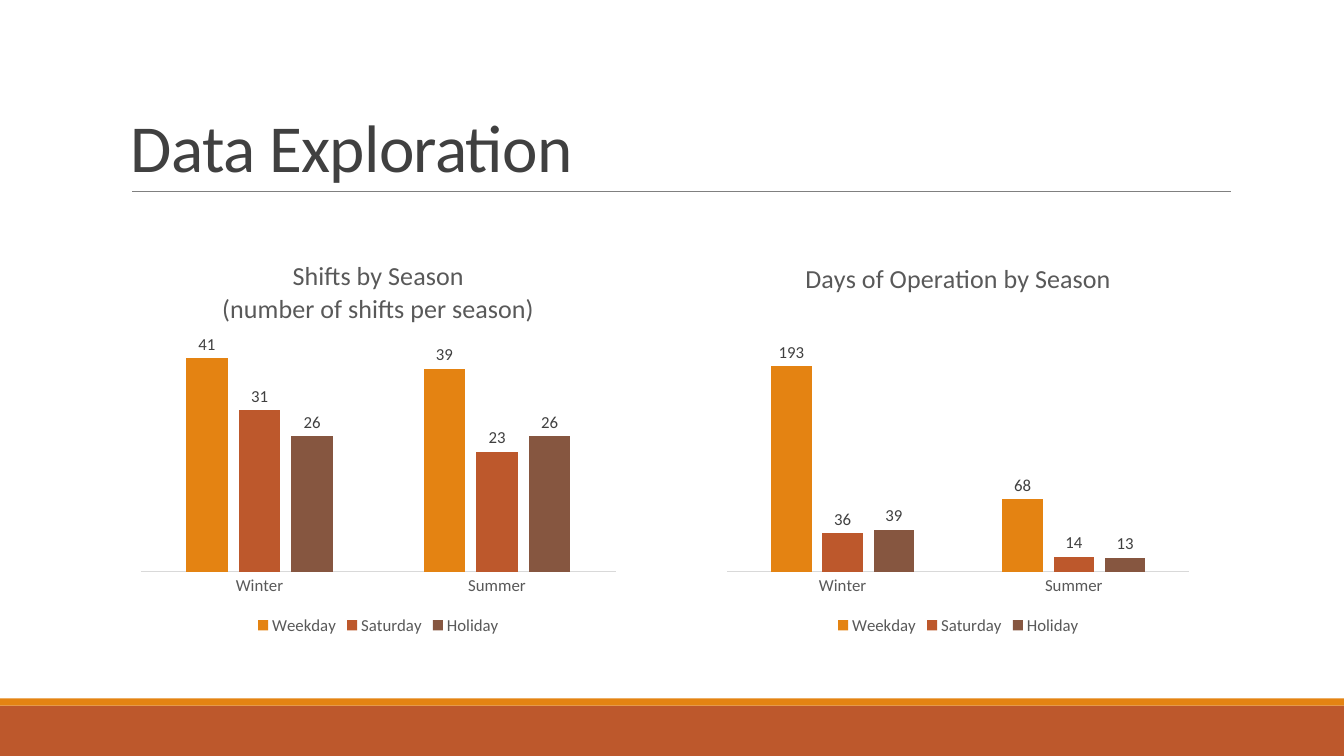
import pptx
import pptx.chart.data
import pptx.dml.color
import pptx.enum.chart
import pptx.enum.shapes
import pptx.enum.text
import pptx.oxml
import pptx.oxml.ns
import pptx.util
from pptx.util import Cm

COLORS = {
    "orange": "E48312", "rust": "BD582C", "brown": "865640",
    "title": "404040", "muted": "595959", "rule": "808080", "axis": "D9D9D9",
}
SERIES_COLORS = {"Weekday": "orange", "Saturday": "rust", "Holiday": "brown"}
SEASONS = ["Winter", "Summer"]
PLOT_BOTTOM = 0.83


def rgb(name):
    return pptx.dml.color.RGBColor.from_string(COLORS[name])


class SlideBuilder:
    font_name = "Calibri"

    def __init__(self, page):
        self.page = page

    def style_font(self, font, size, color):
        font.name = self.font_name
        font.size = pptx.util.Pt(size)
        font.bold = False
        font.color.rgb = rgb(color)

    def band(self, left, top, width, height, color):
        shape = self.page.shapes.add_shape(
            pptx.enum.shapes.MSO_SHAPE.RECTANGLE, Cm(left), Cm(top), Cm(width), Cm(height))
        shape.shadow.inherit = False
        shape.fill.solid()
        shape.fill.fore_color.rgb = rgb(color)
        shape.line.fill.background()

    def rule(self, left, right, top, color):
        line = self.page.shapes.add_connector(
            pptx.enum.shapes.MSO_CONNECTOR.STRAIGHT, Cm(left), Cm(top), Cm(right), Cm(top))
        line.line.color.rgb = rgb(color)
        line.line.width = pptx.util.Pt(0.5)
        properties = line._element.spPr
        properties.append(pptx.oxml.parse_xml(
            f"<a:effectLst {pptx.oxml.ns.nsdecls('a')}/>"))

    def title(self, text, left, top, width, height):
        box = self.page.shapes.add_textbox(Cm(left), Cm(top), Cm(width), Cm(height))
        frame = box.text_frame
        frame.word_wrap = True
        frame.vertical_anchor = pptx.enum.text.MSO_ANCHOR.BOTTOM
        para = frame.paragraphs[0]
        para.line_spacing = 0.85
        span = para.add_run()
        span.text = text
        self.style_font(span.font, 48, "title")
        span.font._element.set("spc", "-50")

    def column_chart(self, left, top, width, height, heading, values, maximum, plot_top):
        data = pptx.chart.data.CategoryChartData()
        data.categories = SEASONS
        for name, numbers in values.items():
            data.add_series(name, numbers)
        chart = self.page.shapes.add_chart(
            pptx.enum.chart.XL_CHART_TYPE.COLUMN_CLUSTERED,
            Cm(left), Cm(top), Cm(width), Cm(height), data).chart
        chart.font.name = self.font_name
        chart.font.size = pptx.util.Pt(10)

        # Heading
        chart.has_title = True
        frame = chart.chart_title.text_frame
        for index, text in enumerate(heading):
            para = frame.add_paragraph() if index else frame.paragraphs[0]
            span = para.add_run()
            span.text = text
            self.style_font(span.font, 18.6, "muted")
        chart.chart_title.include_in_layout = False

        # Legend and axes
        chart.has_legend = True
        chart.legend.position = pptx.enum.chart.XL_LEGEND_POSITION.BOTTOM
        chart.legend.include_in_layout = False
        self.style_font(chart.legend.font, 12, "muted")
        seasons = chart.category_axis
        seasons.major_tick_mark = pptx.enum.chart.XL_TICK_MARK.NONE
        seasons.format.line.color.rgb = rgb("axis")
        seasons.format.line.width = pptx.util.Pt(0.75)
        self.style_font(seasons.tick_labels.font, 12, "muted")
        amounts = chart.value_axis
        amounts.visible = False
        amounts.has_major_gridlines = False
        amounts.minimum_scale = 0
        amounts.maximum_scale = maximum

        # Columns and their values
        plot = chart.plots[0]
        plot.vary_by_categories = False
        plot.gap_width = 219
        plot.overlap = -27
        for series in plot.series:
            series.format.fill.solid()
            series.format.fill.fore_color.rgb = rgb(SERIES_COLORS[series.name])
            labels = series.data_labels
            labels.show_value = True
            labels.position = pptx.enum.chart.XL_LABEL_POSITION.OUTSIDE_END
            self.style_font(labels.font, 12, "title")

        # Inner plot area, as fractions of the chart
        area = chart._chartSpace.chart.plotArea
        for old in area.findall(pptx.oxml.ns.qn("c:layout")):
            area.remove(old)
        area.insert(0, pptx.oxml.parse_xml(
            f"<c:layout {pptx.oxml.ns.nsdecls('c')}><c:manualLayout>"
            '<c:layoutTarget val="inner"/><c:xMode val="edge"/><c:yMode val="edge"/>'
            f'<c:x val="0.02"/><c:y val="{plot_top}"/>'
            f'<c:w val="0.96"/><c:h val="{PLOT_BOTTOM - plot_top:.2f}"/>'
            "</c:manualLayout></c:layout>"))


def main():
    deck = pptx.Presentation()
    deck.slide_width = Cm(33.87)
    deck.slide_height = Cm(19.05)
    builder = SlideBuilder(deck.slides.add_slide(deck.slide_layouts[6]))

    # Footer bands and title
    builder.band(0, 17.78, 33.87, 1.27, "rust")
    builder.band(0, 17.6, 33.87, 0.18, "orange")
    builder.rule(3.33, 31.01, 4.83, "rule")
    builder.title("Data Exploration", 3.05, 0.79, 27.94, 4.04)

    # Charts
    builder.column_chart(
        3.3, 6.1, 12.47, 10.01,
        ["Shifts by Season", "(number of shifts per season)"],
        {"Weekday": [41, 39], "Saturday": [31, 23], "Holiday": [26, 26]}, 45, 0.24)
    builder.column_chart(
        18.08, 6.1, 12.14, 10.01,
        ["Days of Operation by Season"],
        {"Weekday": [193, 68], "Saturday": [36, 14], "Holiday": [39, 13]}, 250, 0.16)

    deck.save("out.pptx")


if __name__ == "__main__":
    main()
